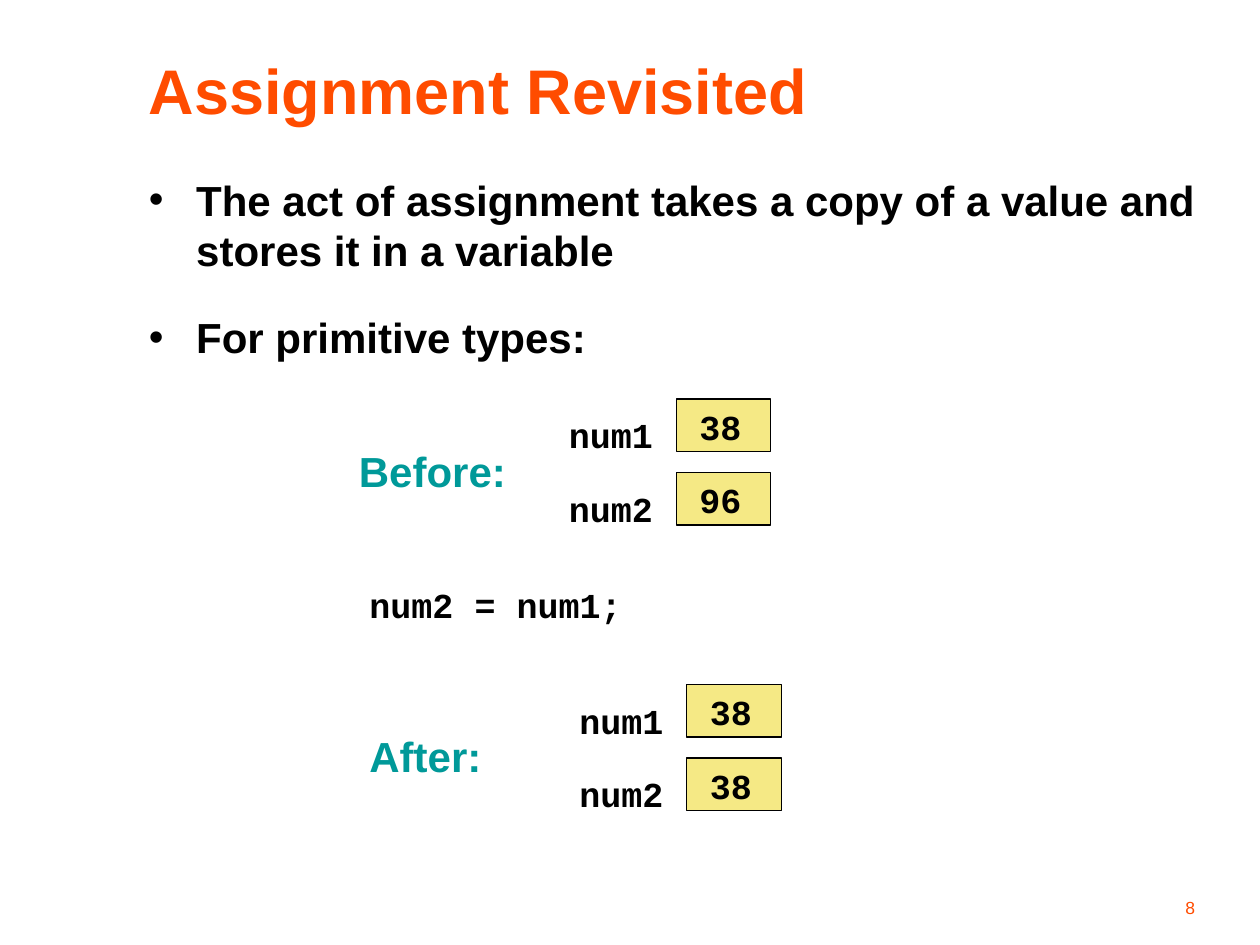
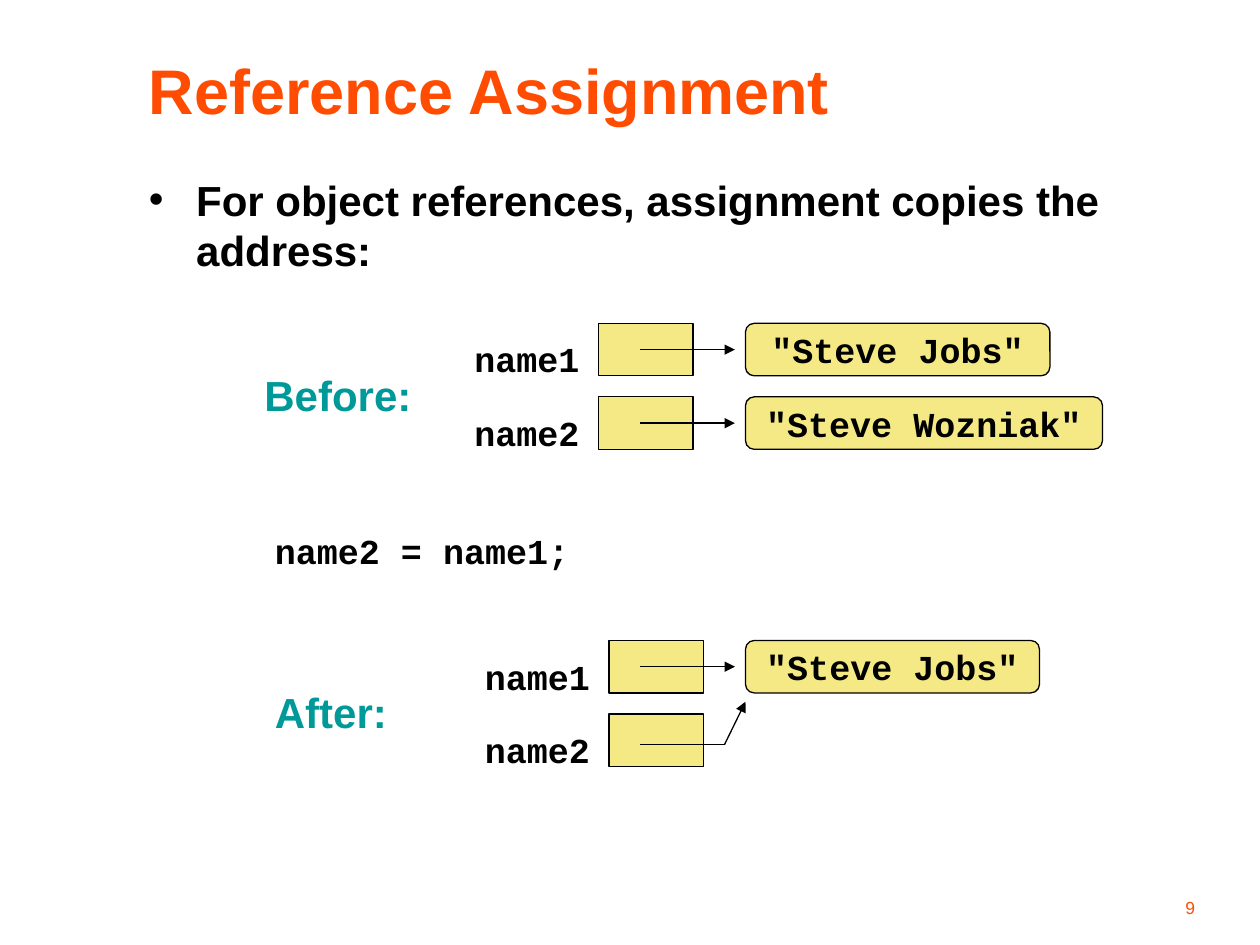
from lxml.etree import SubElement
from pptx import Presentation
from pptx.dml.color import RGBColor
from pptx.enum.shapes import MSO_CONNECTOR, MSO_SHAPE
from pptx.enum.text import MSO_ANCHOR, MSO_AUTO_SIZE, PP_ALIGN
from pptx.oxml.ns import qn
from pptx.util import Pt

COLORS = {"accent": "FF4C00", "caption": "009999", "ink": "000000", "fill": "F5E985"}
FORMATS = {
    "title": {"name": "Arial", "size": Pt(36), "bold": True, "color": "accent"},
    "body": {"name": "Arial", "size": Pt(24), "bold": True, "color": "ink"},
    "caption": {"name": "Arial", "size": Pt(24), "bold": True, "color": "caption"},
    "code": {"name": "Courier New", "size": Pt(20), "bold": True, "color": "ink"},
    "number": {"name": "Arial", "size": Pt(10), "bold": False, "color": "accent"},
}
CELL_W, CELL_H, ROW_STEP = 54, 30, 42
LABEL_DX, LABEL_DY = 120, 4.8
CODE_CHAR, CODE_H, INSETS = 12, 31.7, 15.4
CAPTION_WIDTHS = {"Before:": 100, "After:": 80}
ARROW_LEFT, ARROW_RIGHT, OBJECT_LEFT = 366, 420, 426


def rgb(key):
    return RGBColor.from_string(COLORS[key])


def format_text(p, text, style):
    r = p.add_run()
    r.text = text
    for key, value in FORMATS[style].items():
        if key == "color":
            r.font.color.rgb = rgb(value)
        else:
            setattr(r.font, key, value)


def add_text(shapes, text, box, style, anchor=MSO_ANCHOR.TOP, align=PP_ALIGN.LEFT, wrap=False):
    tf = shapes.add_textbox(*map(Pt, box)).text_frame
    tf.word_wrap = wrap
    tf.auto_size = MSO_AUTO_SIZE.NONE if wrap else MSO_AUTO_SIZE.SHAPE_TO_FIT_TEXT
    tf.vertical_anchor = anchor
    p = tf.paragraphs[0]
    p.alignment = align
    format_text(p, text, style)


def add_code(shapes, text, left, top):
    add_text(shapes, text, (left, top, len(text) * CODE_CHAR + INSETS, CODE_H), "code")


def add_bullets(s, items, height):
    tf = s.shapes.add_textbox(*map(Pt, (78, 96, 624, height))).text_frame
    tf.word_wrap = True
    for i, item in enumerate(items):
        p = tf.add_paragraph() if i else tf.paragraphs[0]
        if i:
            p.space_before = Pt(21)
        pPr = p._p.get_or_add_pPr()
        pPr.set("marL", str(Pt(27)))
        pPr.set("indent", str(-Pt(27)))
        SubElement(pPr, qn("a:buFont"), typeface="Arial")
        SubElement(pPr, qn("a:buChar"), char="•")
        format_text(p, item, "body")


def add_box(shapes, kind, left, top, width):
    sp = shapes.add_shape(kind, *map(Pt, (left, top, width, CELL_H)))
    sp.shadow.inherit = False
    sp.fill.solid()
    sp.fill.fore_color.rgb = rgb("fill")
    sp.line.color.rgb = rgb("ink")
    sp.line.width = Pt(0.75)
    return sp


def add_object(shapes, text, top, width):
    sp = add_box(shapes, MSO_SHAPE.ROUNDED_RECTANGLE, OBJECT_LEFT, top, width)
    tf = sp.text_frame
    tf.word_wrap = False
    tf.vertical_anchor = MSO_ANCHOR.MIDDLE
    tf.paragraphs[0].alignment = PP_ALIGN.CENTER
    format_text(tf.paragraphs[0], text, "code")


def add_line(shapes, start, end, arrow=True):
    line = shapes.add_connector(MSO_CONNECTOR.STRAIGHT, *map(Pt, (*start, *end)))
    line.line.color.rgb = rgb("ink")
    line.line.width = Pt(0.75)
    if arrow:
        SubElement(line.line._get_or_add_ln(), qn("a:tailEnd"), type="triangle")
    SubElement(line._element.spPr, qn("a:effectLst"))


def add_state(s, caption, names, left, top, cell_dx):
    """Draw a captioned group of variables; return its shapes and cell positions."""
    shapes = s.shapes.add_group_shape().shapes
    add_text(shapes, caption, (left, top + 22.8, CAPTION_WIDTHS[caption], 36), "caption")
    cells = []
    for i, name in enumerate(names):
        row = top + i * ROW_STEP
        add_box(shapes, MSO_SHAPE.RECTANGLE, left + cell_dx, row, CELL_W)
        add_code(shapes, name, left + LABEL_DX, row + LABEL_DY)
        cells.append((left + cell_dx, row))
    return shapes, cells


def add_value_state(s, caption, left, top, values):
    shapes, cells = add_state(s, caption, ("num1", "num2"), left, top, 188.4)
    for value, (x, y) in zip(values, cells):
        add_code(shapes, value, x + 6.2, y)


def add_reference_state(s, caption, left, top, objects):
    """Draw name1 and name2, each pointing to its (text, width) object in turn."""
    shapes, cells = add_state(s, caption, ("name1", "name2"), left, top, 198)
    for (text, width), (_, y) in zip(objects, cells):
        add_object(shapes, text, y, width)
        add_line(shapes, (ARROW_LEFT, y + CELL_H / 2), (ARROW_RIGHT, y + CELL_H / 2))
    return shapes


def add_shared_reference(shapes, top):
    """Bend the arrow of the second variable up to the first object."""
    bend = (414, top + 59.5)
    add_line(shapes, bend, (OBJECT_LEFT, top + 35))
    add_line(shapes, bend, (ARROW_LEFT, bend[1]), arrow=False)


def add_slide(prs, title, number):
    s = prs.slides.add_slide(prs.slide_layouts[6])
    add_text(s.shapes, title, (78, 24, 624, 54), "title", MSO_ANCHOR.MIDDLE, wrap=True)
    add_text(s.shapes, number, (540, 498, 150, 30), "number",
             MSO_ANCHOR.BOTTOM, PP_ALIGN.RIGHT, wrap=True)
    return s


def main():
    prs = Presentation()
    prs.slide_width, prs.slide_height = Pt(720), Pt(540)

    s = add_slide(prs, "Assignment Revisited", "8")
    add_bullets(s, ["The act of assignment takes a copy of a value and stores it in a variable",
                    "For primitive types:"], 126)
    add_value_state(s, "Before:", 198, 228, ("38", "96"))
    add_code(s.shapes, "num2 = num1;", 204, 329.8)
    add_value_state(s, "After:", 204, 391.2, ("38", "38"))

    s = add_slide(prs, "Reference Assignment", "9")
    add_bullets(s, ["For object references, assignment copies the address:"], 84)
    add_reference_state(s, "Before:", 144, 184.8,
                        [('"Steve Jobs"', 174), ('"Steve Wozniak"', 204)])
    add_code(s.shapes, "name2 = name1;", 150, 298.8)
    after_top = 366
    shapes = add_reference_state(s, "After:", 150, after_top, [('"Steve Jobs"', 168)])
    add_shared_reference(shapes, after_top)

    prs.save("out.pptx")


if __name__ == "__main__":
    main()
